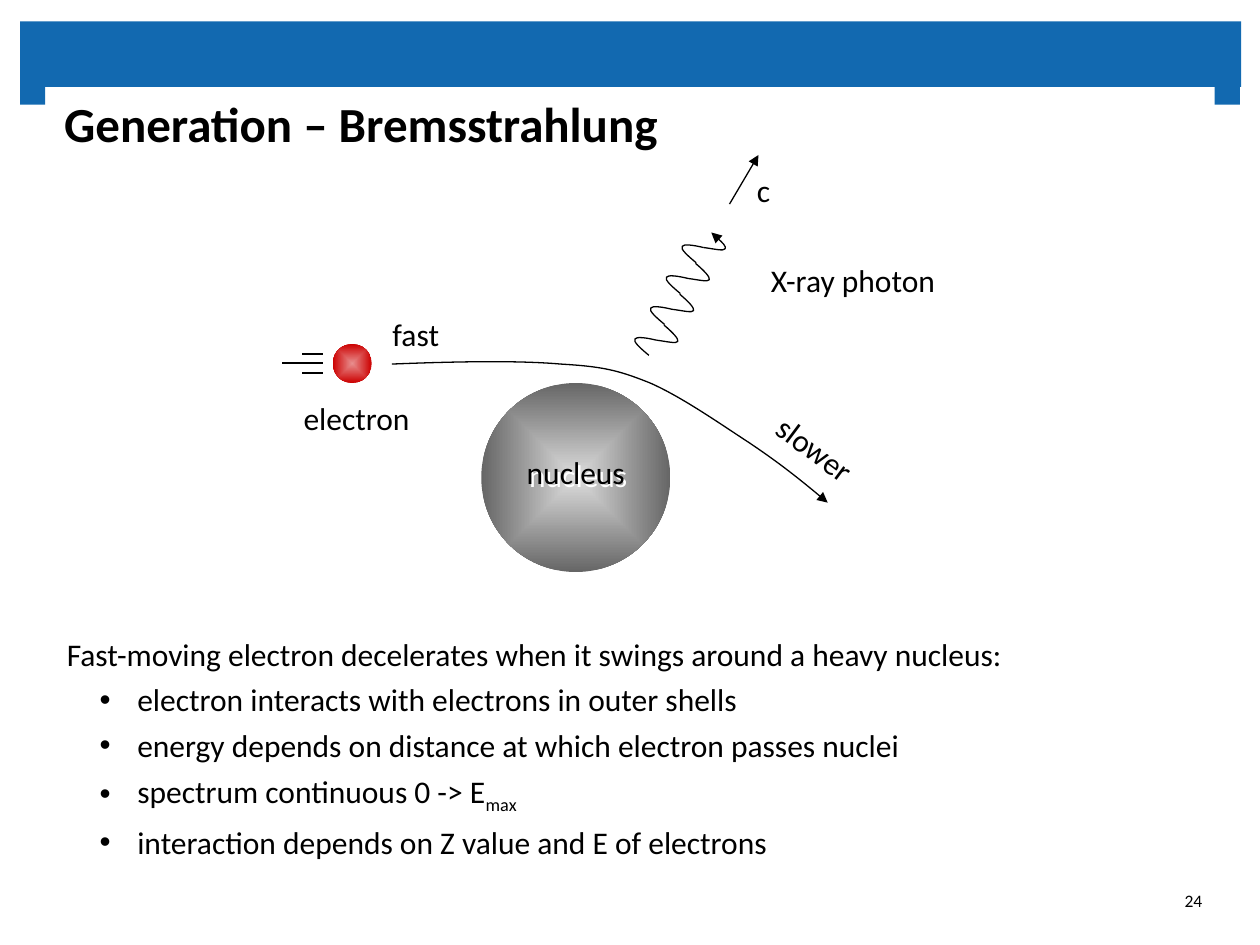
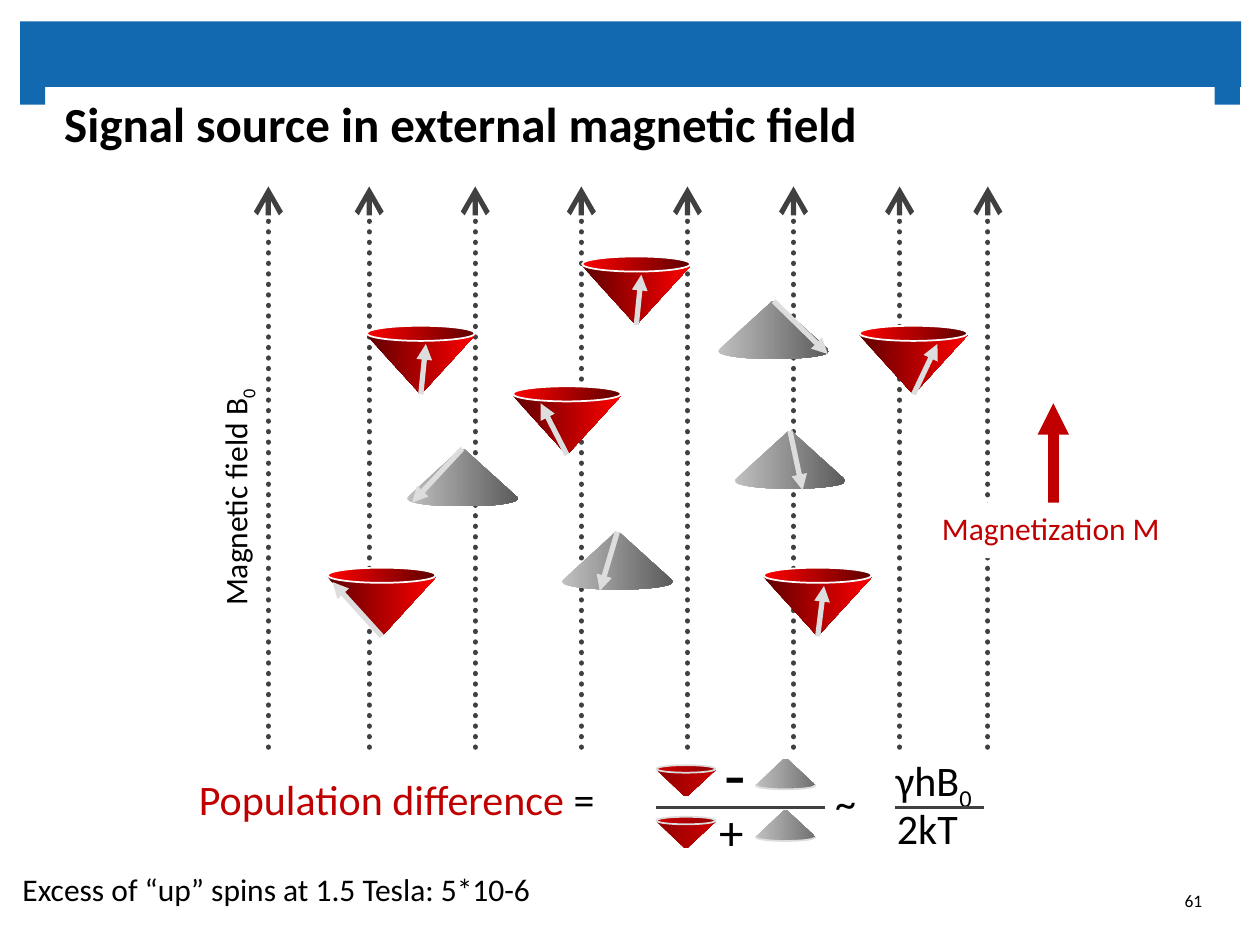
from lxml import etree
from pptx import Presentation
from pptx.dml.color import RGBColor
from pptx.enum import dml, shapes, text
from pptx.oxml.ns import qn
from pptx.util import Inches, Pt

FONT = "Calibri"
BLACK = RGBColor(0x00, 0x00, 0x00)
WHITE = RGBColor(0xFF, 0xFF, 0xFF)
BAND_BLUE = RGBColor(0x12, 0x69, 0xB0)
CRIMSON = RGBColor(0xC0, 0x00, 0x00)
CHARCOAL = RGBColor(0x40, 0x40, 0x40)
PALE = RGBColor(0xDD, 0xDD, 0xDD)
NUCLEUS_EDGE = RGBColor(0x66, 0x66, 0x66)
ELECTRON_CORE = RGBColor(0xE8, 0x8E, 0x8E)
SIGNAL_RED = RGBColor(0xCC, 0x00, 0x00)
SMALL_RED_SHADE = RGBColor(0x92, 0x00, 0x00)
SMALL_GREY_SHADE = RGBColor(0x71, 0x71, 0x71)
BRIGHT_RED = RGBColor(0xFF, 0x00, 0x00)
SILVER = RGBColor(0xC0, 0xC0, 0xC0)

# A gradient end is a colour and the share of its light that is kept, in 1/1000 %.
UP_SPIN = (BRIGHT_RED, None), (BRIGHT_RED, 37255)
DOWN_SPIN = (SILVER, None), (SILVER, 47451)
SMALL_UP = (SIGNAL_RED, None), (SMALL_RED_SHADE, None)
SMALL_DOWN = (SILVER, None), (SMALL_GREY_SHADE, None)

LEFT, CENTER, RIGHT = (text.PP_ALIGN.LEFT, text.PP_ALIGN.CENTER,
                       text.PP_ALIGN.RIGHT)
OVAL = shapes.MSO_SHAPE.OVAL
TITLE_ONLY, TITLE_AND_BODY = 5, 1


def inches(values):
    return [Inches(value) for value in values]


class Deck:
    def __init__(self):
        self.presentation = Presentation()
        self.presentation.slide_width = Inches(10)
        self.presentation.slide_height = Inches(7.5)
        self.slide = None

    def new_slide(self, layout, title, number):
        layouts = self.presentation.slide_layouts
        self.slide = self.presentation.slides.add_slide(layouts[layout])
        for box in ((0.16, 0.17, 9.69, 0.52), (0.16, 0.65, 0.2, 0.18),
                    (9.64, 0.65, 0.2, 0.18)):
            self.fill(self.shape(shapes.MSO_SHAPE.RECTANGLE, box), BAND_BLUE)

        heading = self.slide.shapes.title
        self.place(heading, (0.35, 0.68, 9.29, 0.64))
        frame = heading.text_frame
        frame.auto_size = text.MSO_AUTO_SIZE.NONE
        frame.vertical_anchor = text.MSO_ANCHOR.TOP
        frame.margin_left = frame.margin_right = Inches(0.16)
        frame.margin_top, frame.margin_bottom = Inches(0.06), 0
        frame.text = title
        frame.paragraphs[0].alignment = LEFT
        self.style(frame.paragraphs[0].runs[0], 28).bold = True

        self.label((7.39, 6.95, 2.25, 0.4), str(number), size=10, align=RIGHT,
                   anchor=text.MSO_ANCHOR.MIDDLE)

    def place(self, item, box):
        item.left, item.top, item.width, item.height = inches(box)

    def style(self, run, size, colour=BLACK):
        run.font.name = FONT
        run.font.size = Pt(size)
        run.font.color.rgb = colour
        return run.font

    def add_run(self, paragraph, words, size, colour=BLACK, subscript=False):
        run = paragraph.add_run()
        run.text = words
        self.style(run, size, colour)
        if subscript:
            run.font._element.set("baseline", "-25000")

    def label(self, box, words, size=18, colour=BLACK, align=CENTER, rotation=0,
              background=None, anchor=text.MSO_ANCHOR.TOP, white_shadow=False):
        """Add a text box and return its paragraph."""
        area = self.slide.shapes.add_textbox(*inches(box))
        area.rotation = rotation
        if background is not None:
            self.fill(area, background)
        if white_shadow:
            effects = etree.SubElement(area.element.spPr, qn("a:effectLst"))
            shadow = etree.SubElement(effects, qn("a:outerShdw"))
            shadow.set("dist", str(Pt(2)))
            shadow.set("dir", "2700000")
            etree.SubElement(shadow, qn("a:srgbClr")).set("val", str(WHITE))
        frame = area.text_frame
        frame.word_wrap = True
        frame.vertical_anchor = anchor
        frame.text = words
        paragraph = frame.paragraphs[0]
        paragraph.alignment = align
        self.style(paragraph.runs[0], size, colour)
        return paragraph

    def body(self, box, lead, points):
        """Fill the body placeholder with a lead line and bulleted points."""
        holder = self.slide.placeholders[1]
        self.place(holder, box)
        frame = holder.text_frame
        frame.auto_size = text.MSO_AUTO_SIZE.NONE
        frame.text = "\n".join([lead, *points])
        for index, paragraph in enumerate(frame.paragraphs):
            bulleted = index > 0
            paragraph.level = int(bulleted)
            paragraph.line_spacing = 1.2
            paragraph.space_before = Pt(0)
            properties = paragraph._p.get_or_add_pPr()
            properties.set("marL", str(Inches(0.56 if bulleted else 0)))
            properties.set("indent", str(Inches(-0.3 if bulleted else 0)))
            if bulleted:
                etree.SubElement(properties, qn("a:buChar")).set("char", "•")
            else:
                etree.SubElement(properties, qn("a:buNone"))
            self.style(paragraph.runs[0], 18)
        return frame.paragraphs

    def shape(self, kind, box):
        item = self.slide.shapes.add_shape(kind, *inches(box))
        item.shadow.inherit = False
        item.line.fill.background()
        return item

    def fill(self, item, colour):
        item.fill.solid()
        item.fill.fore_color.rgb = colour

    def gradient(self, item, first, last):
        """Fill from left to right between two (colour, shade) ends."""
        item.fill.gradient()
        item.fill.gradient_angle = 0
        for stop, (colour, shade), position in zip(item.fill.gradient_stops,
                                                   (first, last), (0, 1)):
            stop.color.rgb = colour
            stop.position = position
            if shade:
                tone = stop._gs.find(qn("a:srgbClr"))
                etree.SubElement(tone, qn("a:gamma"))
                etree.SubElement(tone, qn("a:shade")).set("val", str(shade))
                etree.SubElement(tone, qn("a:invGamma"))

    def ball(self, box, core, edge):
        sphere = self.shape(OVAL, box)
        self.gradient(sphere, (core, None), (edge, None))
        gradient = sphere.element.spPr.find(qn("a:gradFill"))
        gradient.remove(gradient.find(qn("a:lin")))
        shade = etree.SubElement(gradient, qn("a:path"))
        shade.set("path", "shape")
        centre = etree.SubElement(shade, qn("a:fillToRect"))
        for side in "ltrb":
            centre.set(side, "50000")

    def stroke(self, item, colour, width, head=None):
        item.line.color.rgb = colour
        item.line.width = Pt(width)
        outline = item.element.spPr.find(qn("a:ln"))
        if head:
            etree.SubElement(outline, qn("a:tailEnd")).set("type", head)
        return outline

    def line(self, start, end, colour=BLACK, width=0.75, head=None):
        connector = self.slide.shapes.add_connector(
            shapes.MSO_CONNECTOR.STRAIGHT, *inches((*start, *end)))
        self.stroke(connector, colour, width, head)
        etree.SubElement(connector.element.spPr, qn("a:effectLst"))
        return connector

    def field_line(self, x):
        connector = self.line((x, 5.93), (x, 1.48), CHARCOAL, 3, "arrow")
        connector.line.dash_style = dml.MSO_LINE.ROUND_DOT
        outline = connector.element.spPr.find(qn("a:ln"))
        outline.set("cap", "rnd")
        head = outline.find(qn("a:tailEnd"))
        head.set("w", "lg")
        head.set("len", "lg")

    def outline(self, points, close):
        start, *rest = [tuple(inches(point)) for point in points]
        builder = self.slide.shapes.build_freeform(*start)
        builder.add_line_segments(rest, close=close)
        item = builder.convert_to_shape()
        item.shadow.inherit = False
        return item

    def curve(self, points, head=None):
        """Draw joined cubic curves: a start, then two controls and an end each."""
        item = self.outline(points, close=False)
        steps = list(item.element.spPr.iter(qn("a:lnTo")))
        for first in range(0, len(steps), 3):
            cubic = etree.Element(qn("a:cubicBezTo"))
            steps[first].addprevious(cubic)
            for step in steps[first:first + 3]:
                cubic.append(step[0])
                step.getparent().remove(step)
        item.fill.background()
        self.stroke(item, BLACK, 0.75, head)

    def cone(self, up, left, top, size, rim, ends, edge=None):
        """Draw a cone standing on its tip (up) or on its base."""
        width, height = size
        base, tip = (top, top + height) if up else (top + height, top)
        middle = left + width / 2

        def draw_side():
            side = self.outline([(left, base), (middle - 0.01, tip),
                                 (middle + 0.01, tip), (left + width, base)],
                                close=True)
            side.line.fill.background()
            self.gradient(side, *(reversed(ends) if up else ends))

        def draw_rim():
            rim_top = base - rim * (0.62 if up else 0.42)
            ellipse = self.shape(OVAL, (left, rim_top, width, rim))
            self.gradient(ellipse, *ends)
            if edge is not None:
                self.stroke(ellipse, edge, 1)

        for draw in (draw_side, draw_rim) if up else (draw_rim, draw_side):
            draw()

    def spin(self, up, left, top, arrow_end):
        """Draw a large cone with the arrow of its spin."""
        if up:
            self.cone(True, left, top, (0.86, 0.46), 0.12, UP_SPIN, WHITE)
            start = left + 0.43, top + 0.47
        else:
            self.cone(False, left, top, (0.88, 0.39), 0.12, DOWN_SPIN)
            start = left + 0.44, top
        self.line(start, arrow_end, PALE, 3, "triangle")


def bremsstrahlung(deck):
    deck.new_slide(TITLE_AND_BODY, "Generation – Bremsstrahlung", 24)
    points = deck.body(
        (0.43, 4.93, 9.21, 1.94),
        "Fast-moving electron decelerates when it swings around a heavy nucleus:",
        ["electron interacts with electrons in outer shells",
         "energy depends on distance at which electron passes nuclei",
         "spectrum continuous 0 -> E",
         "interaction depends on Z value and E of electrons"])
    deck.add_run(points[3], "max", 18, subscript=True)

    deck.ball((3.82, 3.04, 1.5, 1.5), PALE, NUCLEUS_EDGE)
    deck.ball((2.64, 2.73, 0.31, 0.31), ELECTRON_CORE, SIGNAL_RED)
    for left, y in ((2.4, 2.81), (2.24, 2.88), (2.4, 2.96)):
        deck.line((left, y), (2.56, y))

    deck.curve([(3.11, 2.89),
                (3.61, 2.87), (4.11, 2.86), (4.45, 2.89),
                (4.79, 2.91), (4.91, 2.94), (5.16, 3.04),
                (5.41, 3.15), (5.71, 3.36), (5.94, 3.51),
                (6.18, 3.67), (6.38, 3.83), (6.57, 3.99)], "triangle")

    left_swing = [(5.15, 2.82), (5.09, 2.77), (5.02, 2.71), (5.04, 2.69),
                  (5.05, 2.67), (5.13, 2.68), (5.21, 2.7)]
    right_swing = [(5.21, 2.7), (5.29, 2.71), (5.37, 2.73), (5.38, 2.71),
                   (5.39, 2.69), (5.33, 2.63), (5.27, 2.58)]
    for period in range(4):
        for swing in (left_swing, right_swing):
            is_last = period == 3 and swing is right_swing
            deck.curve([(x + 0.125 * period, y - 0.245 * period)
                        for x, y in swing], "triangle" if is_last else None)
    deck.line((5.79, 1.62), (6.02, 1.23), head="triangle")

    for words, left, top, rotation in (
            ("electron", 1.69, 3.12, 0), ("fast", 2.16, 2.45, 0),
            ("slower", 5.32, 3.36, 36.9), ("X-ray photon", 5.63, 2.02, 0),
            ("c", 4.92, 1.31, 0)):
        deck.label((left, top, 2.28, 0.43), words, rotation=rotation)
    deck.label((3.43, 3.55, 2.28, 0.43), "nucleus", white_shadow=True)


def magnetic_field(deck):
    deck.new_slide(TITLE_ONLY, "Signal source in external magnetic field", 61)
    for x in (2.13, *(2.93 + 0.842 * step for step in range(6)), 7.84):
        deck.field_line(x)
    field = deck.label((0.34, 3.73, 3.09, 0.44), "Magnetic field B",
                       rotation=270)
    deck.add_run(field, "0", 18, subscript=True)

    for up, left, top, arrow_end in (
            (True, 2.91, 2.66, (3.38, 2.73)), (False, 3.23, 3.56, (3.27, 3.99)),
            (True, 4.07, 3.14, (4.29, 3.2)), (False, 4.46, 4.22, (4.76, 4.69)),
            (False, 5.7, 2.39, (6.57, 2.81)), (False, 5.83, 3.42, (6.37, 3.89)),
            (True, 2.6, 4.58, (2.64, 4.62)), (True, 6.06, 4.58, (6.54, 4.65)),
            (True, 6.82, 2.66, (7.44, 2.73)), (True, 4.62, 2.11, (5.09, 2.18))):
        deck.spin(up, left, top, arrow_end)

    deck.line((8.36, 3.99), (8.36, 3.2), CRIMSON, 6, "triangle")
    deck.label((7.24, 3.99, 2.2, 0.44), "Magnetization M", colour=CRIMSON,
               background=WHITE)
    population_formula(deck)
    deck.label((0.08, 6.86, 4.9, 0.4),
               "Excess of “up” spins at 1.5 Tesla: 5*10-6", align=LEFT)


def population_formula(deck):
    difference = deck.label((1.48, 6.09, 3.64, 0.51), "Population difference ",
                            24, CRIMSON, LEFT)
    deck.add_run(difference, "=", 24)
    for row in (0, 0.41):
        deck.cone(True, 5.21, 6.11 + row, (0.47, 0.21), 0.06, SMALL_UP, PALE)
        deck.cone(False, 6, 6.02 + row, (0.47, 0.21), 0.06, SMALL_DOWN, PALE)
    deck.label((5.64, 5.75, 0.39, 0.77), "-", 40)
    deck.label((5.61, 6.31, 0.39, 0.57), "+", 28)
    deck.label((6.53, 6.11, 0.39, 0.5), "~", 24, align=LEFT)
    deck.line((7.03, 6.38), (7.72, 6.38), WHITE, 1.5)
    numerator = deck.label((7.01, 5.94, 1.18, 0.5), "γhB", 24, align=LEFT)
    deck.add_run(numerator, "0", 24, subscript=True)
    deck.label((7.02, 6.32, 1.18, 0.5), "2kT", 24, align=LEFT)
    for left, right in ((5.21, 6.55), (7.1, 7.81)):
        deck.line((left, 6.41), (right, 6.41), CHARCOAL, 1.5)


def main():
    deck = Deck()
    bremsstrahlung(deck)
    magnetic_field(deck)
    deck.presentation.save("out.pptx")


if __name__ == "__main__":
    main()
